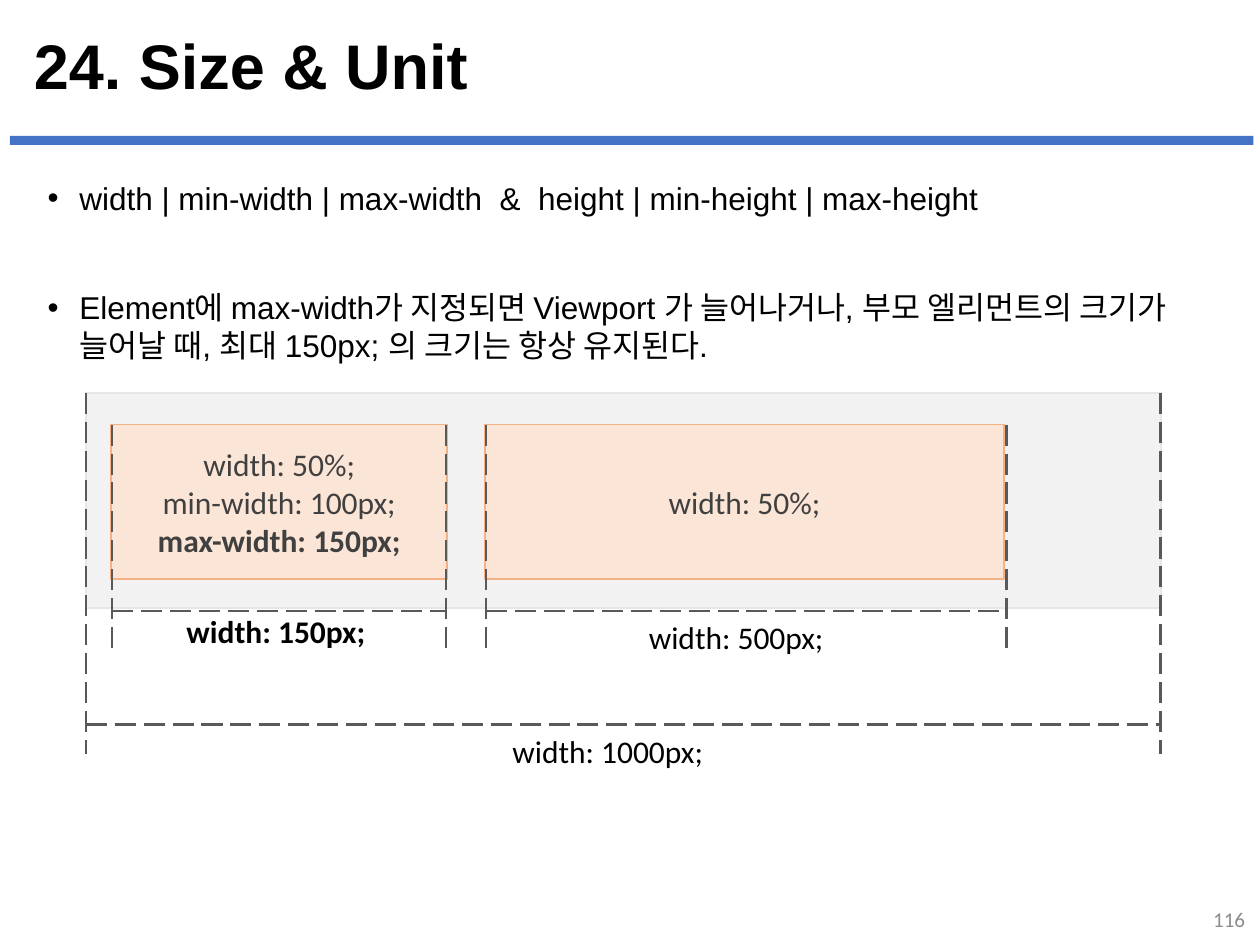
from lxml.etree import SubElement
from pptx import Presentation
from pptx.dml.color import RGBColor as RGB
from pptx.enum.dml import MSO_LINE as Dash
from pptx.enum.shapes import MSO_CONNECTOR as Link, MSO_SHAPE as Kind
from pptx.enum.text import MSO_ANCHOR as Anchor, MSO_AUTO_SIZE as Fit, PP_ALIGN as Align
from pptx.oxml.ns import qn
from pptx.util import Cm, Pt

HUE = {"bar": "4472C4", "text": "000000", "page": "8C8C8C", "pale": "F2F2F2", "rim": "E7E6E6",
       "peach": "FBE5D6", "edge": "F4B183", "code": "404040", "rule": "595959"}

TITLE = "24. Size & Unit"
BULLETS = [
    ("width | min-width | max-width  &  height | min-height | max-height", 0),
    ("Element에 max-width가 지정되면 Viewport 가 늘어나거나, 부모 엘리먼트의 크기가 늘어날 때, "
     "최대 150px; 의 크기는 항상 유지된다.", 41),
]
PANELS = [
    ((0.2, 2.74, 25.07, 0.18), "bar", None, []),
    ((1.73, 7.92, 21.67, 4.34), "pale", "rim", []),
    ((2.24, 8.56, 6.78, 3.12), "peach", "edge",
     [("width: 50%;", False), ("min-width: 100px;", False), ("max-width: 150px;", True)]),
    ((9.78, 8.56, 10.46, 3.12), "peach", "edge", [("width: 50%;", False)]),
]
SPANS = [  # left, right, top, foot, level
    (2.26, 8.99, 8.56, 13.06, 12.32),
    (9.8, 20.29, 8.56, 13.06, 12.32),
    (1.73, 23.39, 7.92, 15.19, 14.6),
]
LABELS = [
    ("width: 1000px;", (10.08, 14.63, 4.39, 1.02), False),
    ("width: 500px;", (12.83, 12.34, 4.09, 1.02), False),
    ("width: 150px;", (3.51, 12.22, 4.17, 1.02), True),
]


def put(item, **vals):
    for key, val in vals.items():
        setattr(item, key, val)


def write(frame, rows, hue, name="Calibri", size=18, align=Align.LEFT):
    for i, (text, bold) in enumerate(rows):
        para = frame.add_paragraph() if i else frame.paragraphs[0]
        para.alignment = align
        run = para.add_run()
        run.text = text
        put(run.font, name=name, size=Pt(size), bold=bold)
        run.font.color.rgb = RGB.from_string(HUE[hue])


def add_text(slide, box, wrap, **vals):
    frame = slide.shapes.add_textbox(*map(Cm, box)).text_frame
    put(frame, word_wrap=wrap, **vals)
    return frame


def add_panel(slide, box, fill, edge, rows):
    shape = slide.shapes.add_shape(Kind.RECTANGLE, *map(Cm, box))
    shape.shadow.inherit = False
    shape.fill.solid()
    shape.fill.fore_color.rgb = RGB.from_string(HUE[fill])
    if edge:
        shape.line.color.rgb = RGB.from_string(HUE[edge])
        shape.line.width = Pt(1)
    else:
        shape.line.fill.background()
    shape.text_frame.vertical_anchor = Anchor.MIDDLE
    write(shape.text_frame, rows, "code", align=Align.CENTER)


def add_rule(slide, *ends):
    rule = slide.shapes.add_connector(Link.STRAIGHT, *map(Cm, ends))
    rule.line.color.rgb = RGB.from_string(HUE["rule"])
    put(rule.line, width=Pt(1.5), dash_style=Dash.LONG_DASH)
    SubElement(rule._element.spPr, qn("a:effectLst"))


def add_bullets(slide):
    frame = add_text(slide, (0.71, 3.48, 23.88, 15.21), True)
    write(frame, [(text, False) for text, _ in BULLETS], "text", "Arial")
    for para, (_, gap) in zip(frame.paragraphs, BULLETS):
        para.space_before = Pt(gap)
        props = para._p.get_or_add_pPr()
        props.set("marL", str(Cm(0.64)))
        props.set("indent", str(Cm(-0.64)))
        SubElement(props, qn("a:buFont"), typeface="Arial")
        SubElement(props, qn("a:buChar"), char="•")


def main():
    """Build the size and unit slide."""
    deck = Presentation()
    put(deck, slide_width=Cm(25.4), slide_height=Cm(19.05))
    slide = deck.slides.add_slide(deck.slide_layouts[5])
    title = slide.shapes.title
    put(title, left=Cm(0.43), top=Cm(0.56), width=Cm(24.54), height=Cm(1.68))
    put(title.text_frame, vertical_anchor=Anchor.MIDDLE, auto_size=Fit.NONE, word_wrap=True)
    write(title.text_frame, [(TITLE, True)], "text", "Arial", 36)
    title.text_frame.paragraphs[0].line_spacing = 0.9
    add_bullets(slide)
    page = add_text(slide, (19.63, 18.01, 5.72, 1.02), True, vertical_anchor=Anchor.MIDDLE)
    write(page, [("116", False)], "page", size=12, align=Align.RIGHT)
    for panel in PANELS:
        add_panel(slide, *panel)
    for left, right, top, foot, level in SPANS:
        for x in (left, right):
            add_rule(slide, x, top, x, foot)
        add_rule(slide, left, level, right, level)
    for text, box, bold in LABELS:
        frame = add_text(slide, box, False, auto_size=Fit.SHAPE_TO_FIT_TEXT)
        write(frame, [(text, bold)], "text")
    deck.save("out.pptx")


if __name__ == "__main__":
    main()
